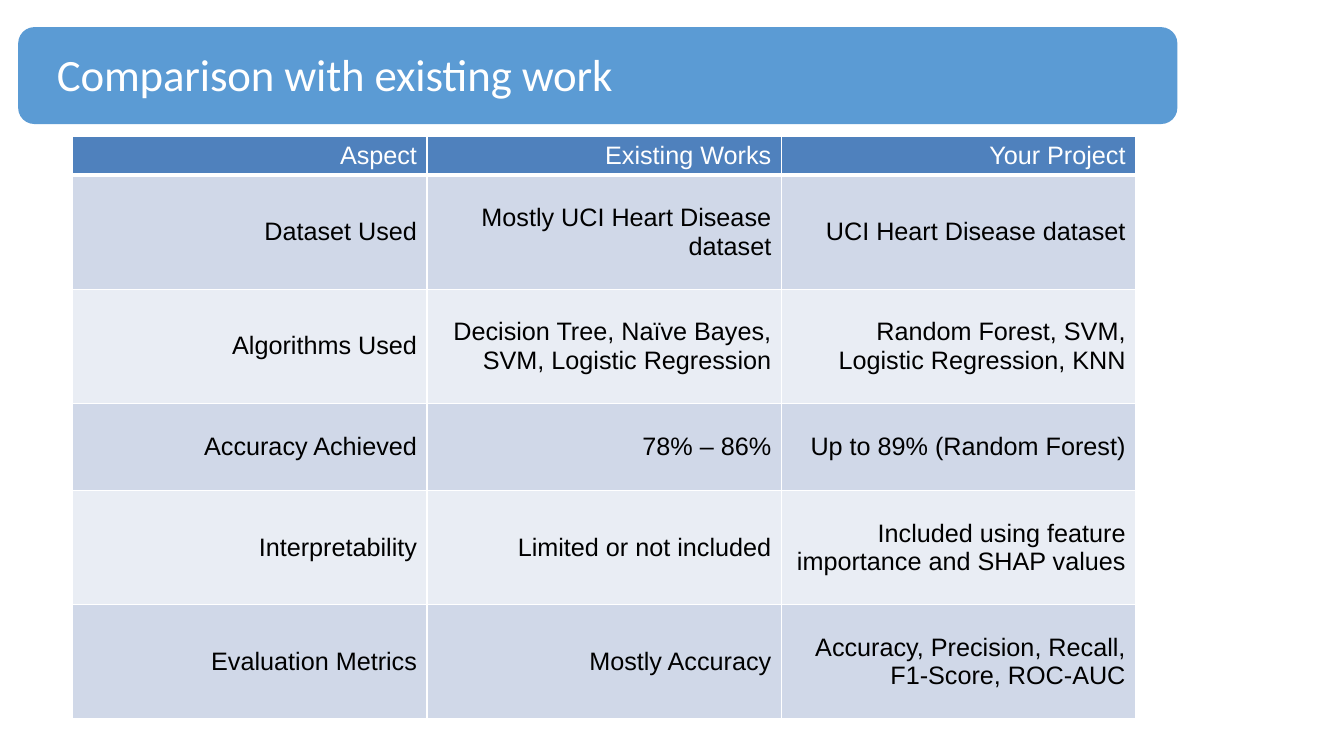
from lxml import etree
from pptx import Presentation
from pptx.dml.color import RGBColor
from pptx.enum.shapes import MSO_SHAPE
from pptx.enum.text import MSO_ANCHOR, MSO_AUTO_SIZE, PP_ALIGN
from pptx.oxml.ns import qn
from pptx.util import Pt

ROUNDED = MSO_SHAPE.ROUNDED_RECTANGLE
TOP, MIDDLE = MSO_ANCHOR.TOP, MSO_ANCHOR.MIDDLE
LEFT, RIGHT = PP_ALIGN.LEFT, PP_ALIGN.RIGHT
NO_FIT = MSO_AUTO_SIZE.NONE

ROWS = [
    ("Aspect", "Existing Works", "Your Project"),
    ("Dataset Used", "Mostly UCI Heart Disease dataset", "UCI Heart Disease dataset"),
    ("Algorithms Used", "Decision Tree, Naïve Bayes, SVM, Logistic Regression",
     "Random Forest, SVM, Logistic Regression, KNN"),
    ("Accuracy Achieved", "78% – 86%", "Up to 89% (Random Forest)"),
    ("Interpretability", "Limited or not included",
     "Included using feature importance and SHAP values"),
    ("Evaluation Metrics", "Mostly Accuracy",
     "Accuracy, Precision, Recall, F1-Score, ROC-AUC"),
]
HEIGHTS = [28, 81.4, 81.4, 62.6, 81.4, 81.4]


def rgb(value):
    return RGBColor.from_string(value)


def write(tf, text, font="Arial", size=18, color="000000", align=LEFT, spacing=0):
    p = tf.paragraphs[0]
    p.alignment = align
    r = p.add_run()
    r.text = text
    r.font.name, r.font.size = font, Pt(size)
    r.font.bold = False
    r.font.color.rgb = rgb(color)
    if spacing:
        r._r.get_or_add_rPr().set("spc", str(round(spacing * 100)))


class Deck:
    """Hold the slide and its style, and add each kind of element."""

    white, bar_blue, header_blue = "FFFFFF", "5B9BD4", "4F81BD"
    bands = ("E9EDF4", "D0D8E8")

    def __init__(self):
        self.prs = Presentation()
        self.prs.slide_width, self.prs.slide_height = Pt(960), Pt(540)
        self.s = self.prs.slides.add_slide(self.prs.slide_layouts[5])

    def bar(self, x, y, w, h):
        sp = self.s.shapes.add_shape(ROUNDED, Pt(x), Pt(y), Pt(w), Pt(h))
        sp.shadow.inherit = False
        sp.fill.solid()
        sp.fill.fore_color.rgb = rgb(self.bar_blue)
        sp.line.fill.background()
        title = self.s.shapes.title
        title._element.addprevious(sp._element)

    def title(self, text, x, y, w, h):
        sp = self.s.shapes.title
        sp.left, sp.top, sp.width, sp.height = Pt(x), Pt(y), Pt(w), Pt(h)
        tf = sp.text_frame
        tf.margin_left = tf.margin_right = tf.margin_top = tf.margin_bottom = 0
        tf.vertical_anchor, tf.auto_size = TOP, NO_FIT
        write(tf, text, font="Calibri", size=32, color=self.white, spacing=-0.1)

    def borders(self, cell, bottom):
        tcPr = cell._tc.get_or_add_tcPr()
        widths = {"a:lnL": 1, "a:lnR": 1, "a:lnT": 1, "a:lnB": bottom}
        for i, (tag, width) in enumerate(widths.items()):
            ln = etree.Element(qn(tag), w=str(Pt(width)))
            fill = etree.SubElement(ln, qn("a:solidFill"))
            etree.SubElement(fill, qn("a:srgbClr"), val=self.white)
            tcPr.insert(i, ln)

    def table(self, rows, heights, x, y, w):
        n = len(rows[0])
        frame = self.s.shapes.add_table(len(rows), n, Pt(x), Pt(y), Pt(w), Pt(sum(heights)))
        tbl = frame.table
        for col in tbl.columns:
            col.width = Pt(w / n)
        for i, (texts, height) in enumerate(zip(rows, heights)):
            tbl.rows[i].height = Pt(height)
            for j, text in enumerate(texts):
                cell = tbl.cell(i, j)
                cell.vertical_anchor = MIDDLE
                cell.fill.solid()
                cell.fill.fore_color.rgb = rgb(self.bands[i % 2] if i else self.header_blue)
                self.borders(cell, bottom=1 if i else 3)
                write(cell.text_frame, text, align=RIGHT,
                      color="000000" if i else self.white)


def main():
    deck = Deck()
    deck.bar(13, 19.4, 828, 69.2)
    deck.title("Comparison with existing work", 40.6, 33.4, 440, 39)
    deck.table(ROWS, HEIGHTS, 52, 97.2, 759.3)
    deck.prs.save("out.pptx")


if __name__ == "__main__":
    main()
